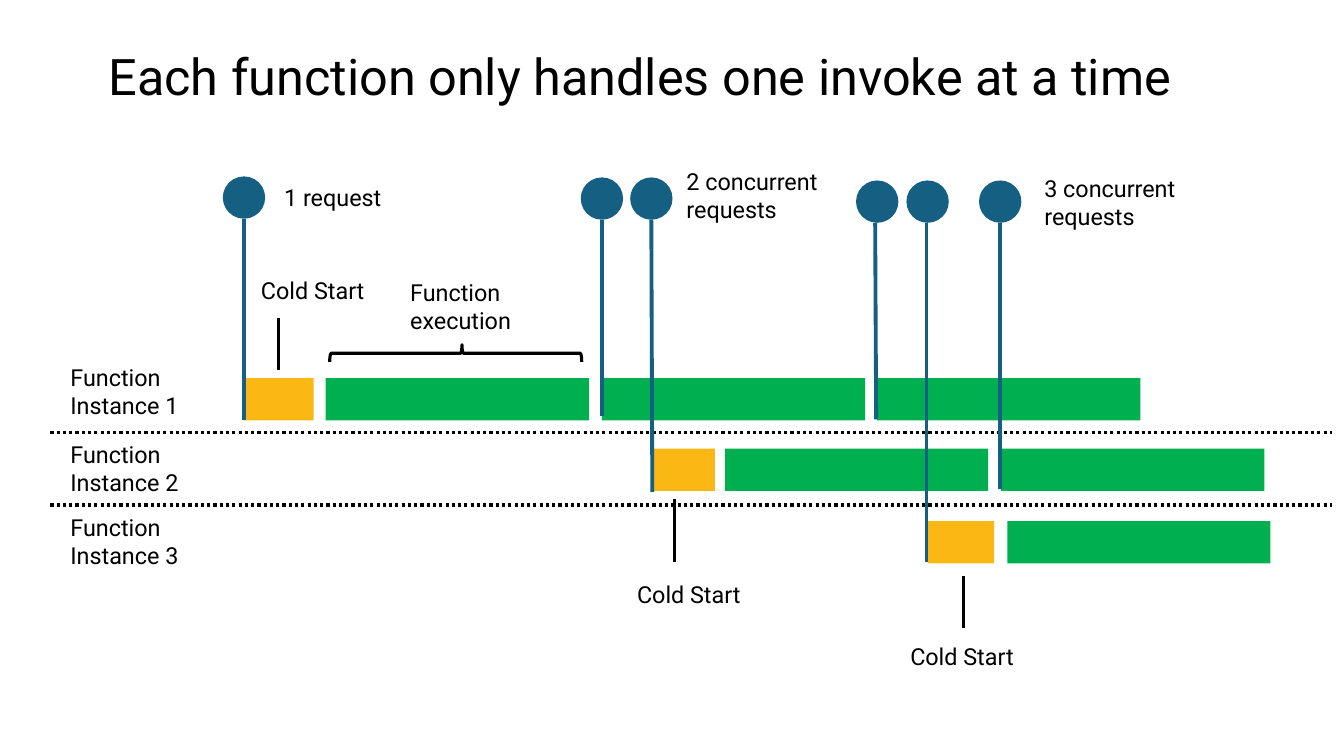
"""Builds a slide showing that each function instance handles one invoke at a time."""
from lxml import etree
from pptx import Presentation
from pptx.dml.color import RGBColor
from pptx.enum.dml import MSO_LINE
from pptx.enum.shapes import MSO_CONNECTOR, MSO_SHAPE
from pptx.enum.text import MSO_ANCHOR, MSO_AUTO_SIZE, PP_ALIGN
from pptx.oxml.ns import qn
from pptx.util import Inches, Pt

RECT, OVAL, BRACE = MSO_SHAPE.RECTANGLE, MSO_SHAPE.OVAL, MSO_SHAPE.RIGHT_BRACE
STRAIGHT = MSO_CONNECTOR.STRAIGHT
DOTTED = MSO_LINE.ROUND_DOT
GROW = MSO_AUTO_SIZE.SHAPE_TO_FIT_TEXT
BOTTOM, CENTER = MSO_ANCHOR.BOTTOM, PP_ALIGN.CENTER

COLORS = {"text": "000000", "run": "00B050", "cold": "FBB815", "request": "156082"}
FONT = "Roboto"
BAR_H, RUN_W, DOT = 0.42, 2.61, 0.42
ONE_LINE, TWO_LINES = 0.38, 0.66

LANES = [
    (3.75, "Function\nInstance 1", 3.55, (2.42, 0.69), [3.23, 5.97, 8.7]),
    (4.45, "Function\nInstance 2", 4.32, (6.47, 0.62), [7.19, 9.93]),
    (5.17, "Function\nInstance 3", 5.04, (9.2, 0.66), [9.99]),
]
COLD_STARTS = [
    (2.49, 2.69, 2.76, 3.15, 3.67),
    (6.22, 5.71, 6.69, 4.95, 5.58),
    (8.93, 6.32, 9.56, 5.71, 6.23),
]
REQUEST_GROUPS = [
    ("1 request", (2.72, 1.77, 2.46, ONE_LINE),
     [(2.21, 1.75, 2.42, 2.42, 4.17)]),
    ("2 concurrent requests", (6.71, 1.61, 1.59, TWO_LINES),
     [(5.76, 1.76, 5.97, 5.97, 4.13), (6.25, 1.76, 6.46, 6.47, 4.88)]),
    ("3 concurrent requests", (10.26, 1.68, 2.1, TWO_LINES),
     [(8.49, 1.79, 8.68, 8.69, 4.16), (8.99, 1.79, 9.19, 9.19, 5.58),
      (9.71, 1.79, 9.92, 9.92, 4.85)]),
]


def rgb(name):
    """Return the named colour."""
    return RGBColor.from_string(COLORS[name])


def add_text(s, text, x, y, w, h, size=16.7):
    """Add a wrapped text box and return its text frame."""
    tf = s.shapes.add_textbox(Inches(x), Inches(y), Inches(w), Inches(h)).text_frame
    tf.word_wrap = True
    tf.auto_size = GROW
    tf.text = text
    for p in tf.paragraphs:
        p.font.name, p.font.size = FONT, Pt(size)
        p.font.color.rgb = rgb("text")
    return tf


def add_filled(s, kind, color, x, y, w, h):
    """Add a filled shape without an outline."""
    sp = s.shapes.add_shape(kind, Inches(x), Inches(y), Inches(w), Inches(h))
    sp.shadow.inherit = False
    sp.fill.solid()
    sp.fill.fore_color.rgb = rgb(color)
    sp.line.fill.background()


def add_line(s, x1, y1, x2, y2, color="text", width=2.25, dash=None):
    """Add a straight line without a shadow."""
    line = s.shapes.add_connector(STRAIGHT, Inches(x1), Inches(y1), Inches(x2), Inches(y2))
    line.line.color.rgb = rgb(color)
    line.line.width = Pt(width)
    if dash is not None:
        line.line.dash_style = dash
    etree.SubElement(line._element.spPr, qn("a:effectLst"))


def add_title(s, x, y, w, h):
    """Add the centred slide title."""
    tf = add_text(s, "Each function only handles one invoke at a time", x, y, w, h, 36)
    tf.auto_size = MSO_AUTO_SIZE.NONE
    tf.vertical_anchor = BOTTOM
    tf.margin_left = tf.margin_right = Inches(0.08)
    tf.margin_top = tf.margin_bottom = Inches(0.04)
    tf.paragraphs[0].alignment = CENTER


def add_lane(s, y, label, label_y, cold, runs):
    """Add one instance's label, cold start and executions."""
    add_text(s, label, 0.6, label_y, 1.44, TWO_LINES)
    for x in runs:
        add_filled(s, RECT, "run", x, y, RUN_W, BAR_H)
    cold_x, cold_w = cold
    add_filled(s, RECT, "cold", cold_x, y, cold_w, BAR_H)


def add_execution_note(s, x, y, w, h):
    """Add the execution label and the brace that spans the given box."""
    add_text(s, "Function execution", x + 0.7, y - 0.71, 1.29, TWO_LINES)
    brace = s.shapes.add_shape(BRACE, Inches(x + (w - h) / 2), Inches(y + (h - w) / 2),
                               Inches(h), Inches(w))
    brace.rotation = 270
    brace.adjustments[0], brace.adjustments[1] = 0.083, 0.525
    brace.shadow.inherit = False
    brace.fill.background()
    brace.line.color.rgb = rgb("text")
    brace.line.width = Pt(2.25)


def add_cold_start_note(s, x, y, mark_x, mark_top, mark_bottom):
    """Add a cold start label and its marker line."""
    add_text(s, "Cold Start", x, y, 1.47, ONE_LINE)
    add_line(s, mark_x, mark_top, mark_x, mark_bottom)


def add_request_group(s, label, box, requests):
    """Add a group of requests that arrive together, with its label."""
    add_text(s, label, *box)
    for x, y, stem_x, end_x, end_y in requests:
        add_filled(s, OVAL, "request", x, y, DOT, DOT)
        add_line(s, stem_x, y + DOT, end_x, end_y, "request", 2.75)


def main():
    """Build and save the slide."""
    prs = Presentation()
    prs.slide_width, prs.slide_height = Inches(13.33), Inches(7.5)
    s = prs.slides.add_slide(prs.slide_layouts[6])
    add_title(s, 0.6, 0.27, 11.5, 0.82)
    for lane in LANES:
        add_lane(s, *lane)
    for y in (4.29, 5.01):
        add_line(s, 0.5, y, 13.21, y, dash=DOTTED)
    add_execution_note(s, 3.27, 3.42, 2.5, 0.17)
    for note in COLD_STARTS:
        add_cold_start_note(s, *note)
    for group in REQUEST_GROUPS:
        add_request_group(s, *group)
    prs.save("out.pptx")


if __name__ == "__main__":
    main()
